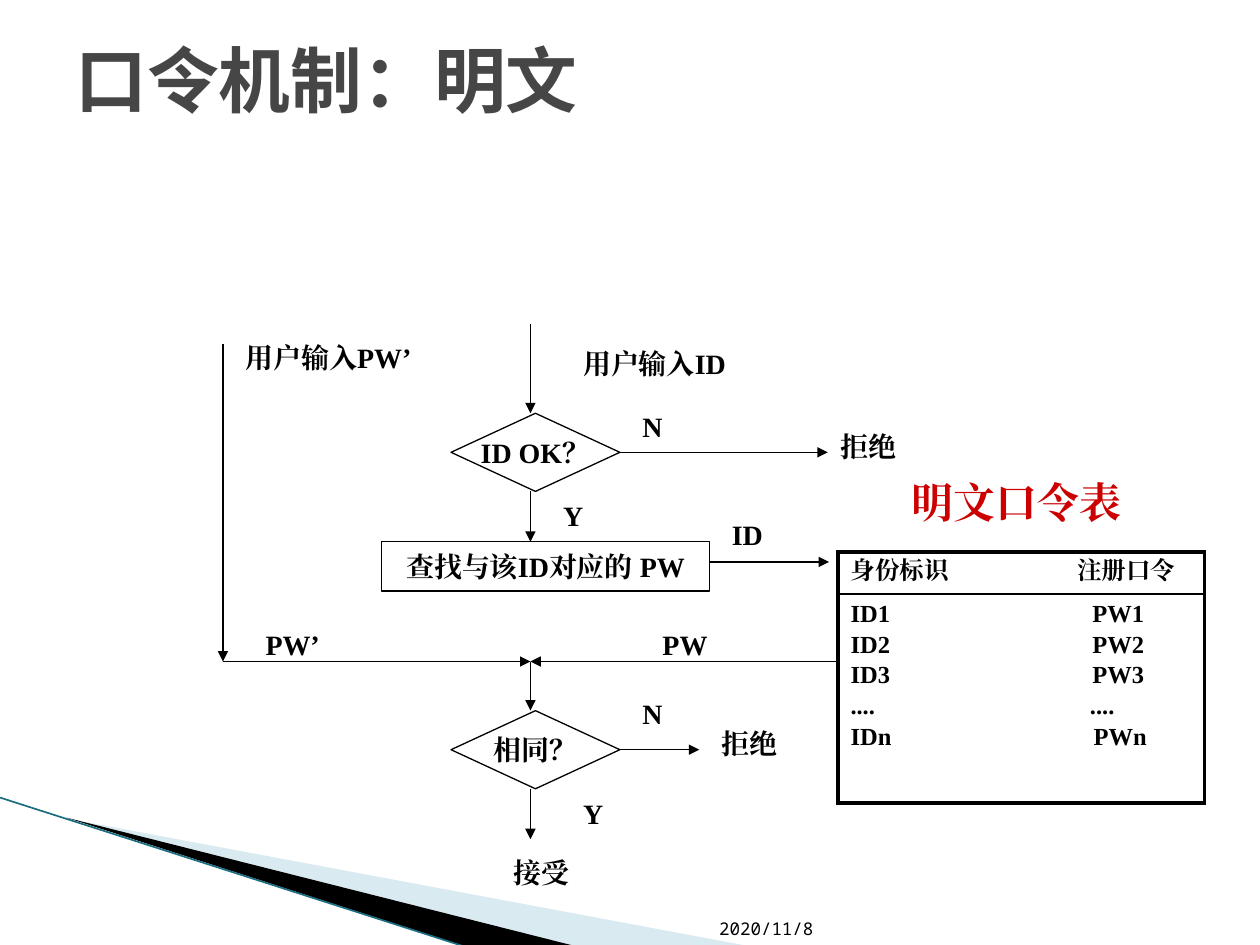
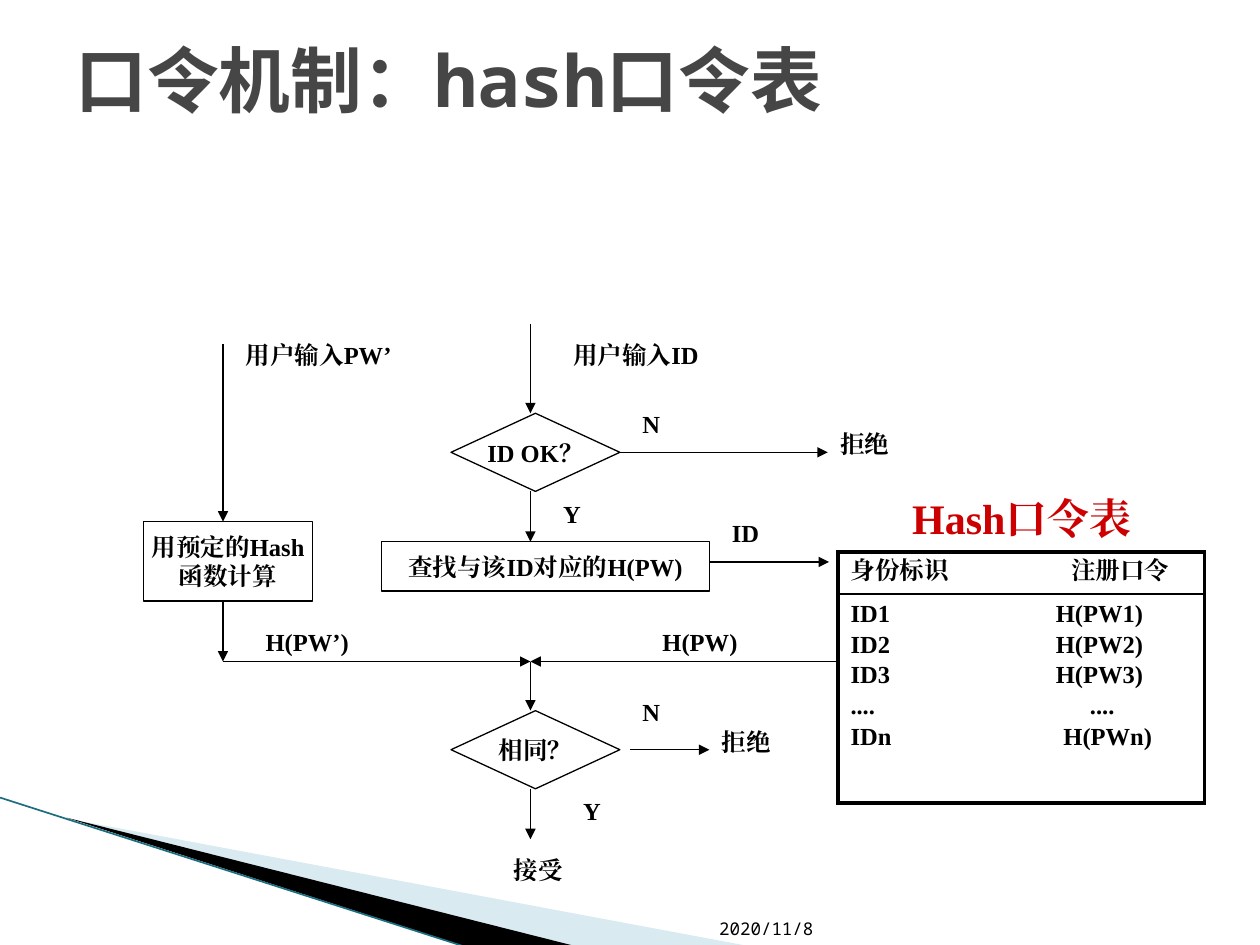
import pptx
import pptx.util
import pptx.dml.color
import pptx.enum.shapes
import pptx.enum.text
import pptx.oxml.ns
from dataclasses import dataclass
from lxml import etree

Inches = pptx.util.Inches
Pt = pptx.util.Pt
Shape = pptx.enum.shapes.MSO_SHAPE
Align = pptx.enum.text.PP_ALIGN
Anchor = pptx.enum.text.MSO_ANCHOR
qn = pptx.oxml.ns.qn


@dataclass(frozen=True)
class Theme:
    ink: str = "000000"
    paper: str = "FFFFFF"
    title: str = "464646"
    accent: str = "CC0000"
    wedge: str = "A0CBDC"
    edge: str = "1A6E80"
    heading_font: str = "Noto Sans Mono"
    body_font: str = "Times New Roman"
    title_size: float = 41
    caption_size: float = 24
    table_size: float = 14
    date_size: float = 10
    thin: float = 0.75
    rule: float = 1
    frame: float = 2.25


THEME = Theme()


def rgb(value):
    return pptx.dml.color.RGBColor.from_string(value)


def add_xml(parent, tag, **attributes):
    return etree.SubElement(parent, qn(tag), attributes)


def write(frame, text, *, size, color=THEME.ink, font=THEME.body_font, bold=True,
          align=Align.LEFT, gap=0, tabs=()):
    """Write one paragraph per line of text, with an optional tab stop for each."""
    for number, line in enumerate(text.split("\n")):
        paragraph = frame.paragraphs[0] if number == 0 else frame.add_paragraph()
        paragraph.alignment = align
        if number and gap:
            paragraph.space_before = Pt(gap)
        if tabs:
            stops = add_xml(paragraph._p.get_or_add_pPr(), "a:tabLst")
            add_xml(stops, "a:tab", pos=str(Inches(tabs[number])), algn="l")
        run = paragraph.add_run()
        run.text = line
        run.font.size, run.font.bold = Pt(size), bold
        run.font.name = font
        run.font.color.rgb = rgb(color)
        add_xml(run._r.get_or_add_rPr(), "a:ea", typeface=font)


class FlowSlide:
    """The current slide, its theme and the size of its flow-chart text."""

    def __init__(self, deck, size, theme=THEME):
        self.theme, self.size = theme, size
        self.shapes = deck.slides.add_slide(deck.slide_layouts[6]).shapes

    def label(self, text, left, top, width, height=None, anchor=Anchor.TOP, **style):
        style.setdefault("size", self.size)
        if height is None:
            height = style["size"] * 0.02 + 0.05
        box = self.shapes.add_textbox(Inches(left), Inches(top), Inches(width), Inches(height))
        box.text_frame.word_wrap = True
        box.text_frame.vertical_anchor = anchor
        write(box.text_frame, text, **style)

    def step(self, text, left, top, width, height, kind=Shape.RECTANGLE):
        box = self.shapes.add_shape(kind, Inches(left), Inches(top), Inches(width), Inches(height))
        box.shadow.inherit = False
        box.fill.solid()
        box.fill.fore_color.rgb = rgb(self.theme.paper)
        box.line.color.rgb = rgb(self.theme.ink)
        box.line.width = Pt(self.theme.thin)
        box.text_frame.word_wrap = False
        box.text_frame.vertical_anchor = Anchor.MIDDLE
        write(box.text_frame, text, size=self.size, align=Align.CENTER)
        return box

    def decision(self, text, top):
        return self.step(text, 3.58, top, 1.34, 0.62, Shape.FLOWCHART_DECISION)

    def line(self, start, end, color=None, width=None):
        link = self.shapes.add_connector(pptx.enum.shapes.MSO_CONNECTOR.STRAIGHT,
                                         *map(Inches, start + end))
        link.line.color.rgb = rgb(color or self.theme.ink)
        link.line.width = Pt(width or self.theme.thin)
        add_xml(link._element.spPr, "a:effectLst")
        return link

    def arrow(self, start, end, source=None):
        link = self.line(start, end)
        add_xml(link.line._get_or_add_ln(), "a:tailEnd", type="triangle")
        if source is not None:
            link.begin_connect(source, 3)

    def wedge(self, points, color, opacity=None):
        corners = [(Inches(x), Inches(y)) for x, y in points]
        builder = self.shapes.build_freeform(*corners[0], scale=1.0)
        builder.add_line_segments(corners[1:], close=True)
        band = builder.convert_to_shape()
        band.shadow.inherit = False
        band.fill.solid()
        band.fill.fore_color.rgb = rgb(color)
        band.line.fill.background()
        if opacity:
            fill = band._element.spPr.find(qn("a:solidFill"))
            add_xml(fill[0], "a:alpha", val=str(opacity * 1000))

    def borders(self, cell, **widths):
        properties = cell._tc.get_or_add_tcPr()
        for side in "LRTB":
            border = add_xml(properties, f"a:ln{side}", w=str(Pt(widths[side])))
            add_xml(add_xml(border, "a:solidFill"), "a:srgbClr", val=self.theme.ink)
        cell.fill.background()

    def password_table(self, header, records):
        """Rows are (identity, password, tab position)."""
        theme = self.theme
        table = self.shapes.add_table(2, 1, Inches(6.65), Inches(4.38),
                                      Inches(2.91), Inches(1.99)).table
        table.first_row = table.horz_banding = False
        parts = (([header], 0.33, theme.frame, theme.rule),
                 (records, 1.66, theme.rule, theme.frame))
        for number, (rows, height, top, bottom) in enumerate(parts):
            table.rows[number].height = Inches(height)
            cell = table.cell(number, 0)
            self.borders(cell, L=theme.frame, R=theme.frame, T=top, B=bottom)
            write(cell.text_frame, "\n".join(f"{who}\t{secret}" for who, secret, _ in rows),
                  size=theme.table_size, gap=2.2, tabs=[tab for *_, tab in rows])

    def background(self, title):
        theme = self.theme
        self.wedge([(0.55, 6.5), (5.95, 7.51), (4.56, 7.51)], theme.wedge, opacity=40)
        self.wedge([(0.53, 6.49), (4.57, 7.51), (3.72, 7.52)], theme.ink)
        self.line((0, 6.33), (3.71, 7.52), theme.edge, 0.95)
        self.label("2020/11/8", 5.61, 7.01, 1.12, 0.49, Anchor.BOTTOM,
                   size=theme.date_size, font=theme.heading_font, bold=False)
        self.label(title, 0.5, 0, 9, 1.25, Anchor.MIDDLE, size=theme.title_size,
                   font=theme.heading_font, color=theme.title)


# Axes of the flow chart
PW_X, ID_X, TABLE_X = 1.77, 4.21, 6.65
MERGE_Y = 5.25


def draw_flow(flow, title, secret, lookup, caption, caption_box, id_label, header, records):
    """Draw everything the two password schemes have in common."""
    flow.background(title)

    # Identity check
    id_check = flow.decision("ID OK？", 3.28)
    flow.arrow((4.92, 3.59), (6.57, 3.59), id_check)
    flow.arrow((ID_X, 2.57), (ID_X, 3.28))
    flow.label("用户输入ID", *id_label, 2.21)
    flow.label("拒绝", 6.57, 3.36, 1.42)

    # Password lookup
    flow.step(lookup, 3.03, 4.3, 2.6, 0.39)
    flow.password_table(header, records)
    flow.arrow((ID_X, 3.9), (ID_X, 4.3))
    flow.arrow((5.63, 4.46), (6.58, 4.46))
    flow.label("ID", 5.71, 4.06, 0.55)
    flow.label(caption, *caption_box, size=flow.theme.caption_size,
               color=flow.theme.accent, align=Align.CENTER)

    # Comparison of both passwords
    comparison = flow.decision("相同？", 5.64)
    for start_x in (PW_X, TABLE_X):
        flow.arrow((start_x, MERGE_Y), (ID_X, MERGE_Y))
    flow.arrow((ID_X, MERGE_Y), (ID_X, 5.64))
    flow.arrow((ID_X, 6.26), (ID_X, 6.66))
    flow.label("接受", 3.98, 6.74, 0.71)
    flow.label("拒绝", 5.63, 5.72, 0.79)
    flow.label("用户输入PW’", 1.85, 2.65, 2.21)
    flow.label(secret.format("PW’"), 2.01, 4.93, 1.26)
    flow.label(secret.format("PW"), 5.16, 4.93, 1.26)

    # Branch answers
    for answer, left, top in (("N", 5, 3.2), ("N", 5, 5.48), ("Y", 4.37, 3.91), ("Y", 4.53, 6.27)):
        flow.label(answer, left, top, 0.79)
    return comparison


def plain_slide(deck):
    flow = FlowSlide(deck, size=16)
    comparison = draw_flow(
        flow, "口令机制：明文", "{}", "查找与该ID对应的 PW",
        "明文口令表", (6.73, 3.73, 2.68), (4.53, 2.7),
        ("身份标识", "注册口令", 1.8),
        [("ID1", "PW1", 1.92), ("ID2", "PW2", 1.92), ("ID3", "PW3", 1.92),
         ("....", "....", 1.9), ("IDn", "PWn", 1.93)])
    flow.arrow((PW_X, 2.73), (PW_X, MERGE_Y))
    flow.arrow((4.92, 5.95), (5.55, 5.95), comparison)


def hash_slide(deck):
    flow = FlowSlide(deck, size=14)
    draw_flow(
        flow, "口令机制：hash口令表", "H({})", "查找与该ID对应的H(PW)",
        "Hash口令表", (6.73, 3.86, 2.76), (4.45, 2.65),
        ("身份标识", "注册口令", 1.75),
        [("ID1", "H(PW1)", 1.63), ("ID2", "H(PW2)", 1.63), ("ID3", "H(PW3)", 1.63),
         ("....", "....", 1.9), ("IDn", "H(PWn)", 1.69)])
    flow.arrow((PW_X, 2.73), (PW_X, 4.14))
    flow.step("用预定的Hash\n函数计算", 1.14, 4.14, 1.34, 0.63)
    flow.arrow((PW_X, 4.77), (PW_X, MERGE_Y))
    flow.arrow((5, 5.95), (5.63, 5.95))


def main():
    deck = pptx.Presentation()
    deck.slide_width, deck.slide_height = Inches(10), Inches(7.5)
    plain_slide(deck)
    hash_slide(deck)
    deck.save("out.pptx")


if __name__ == "__main__":
    main()
